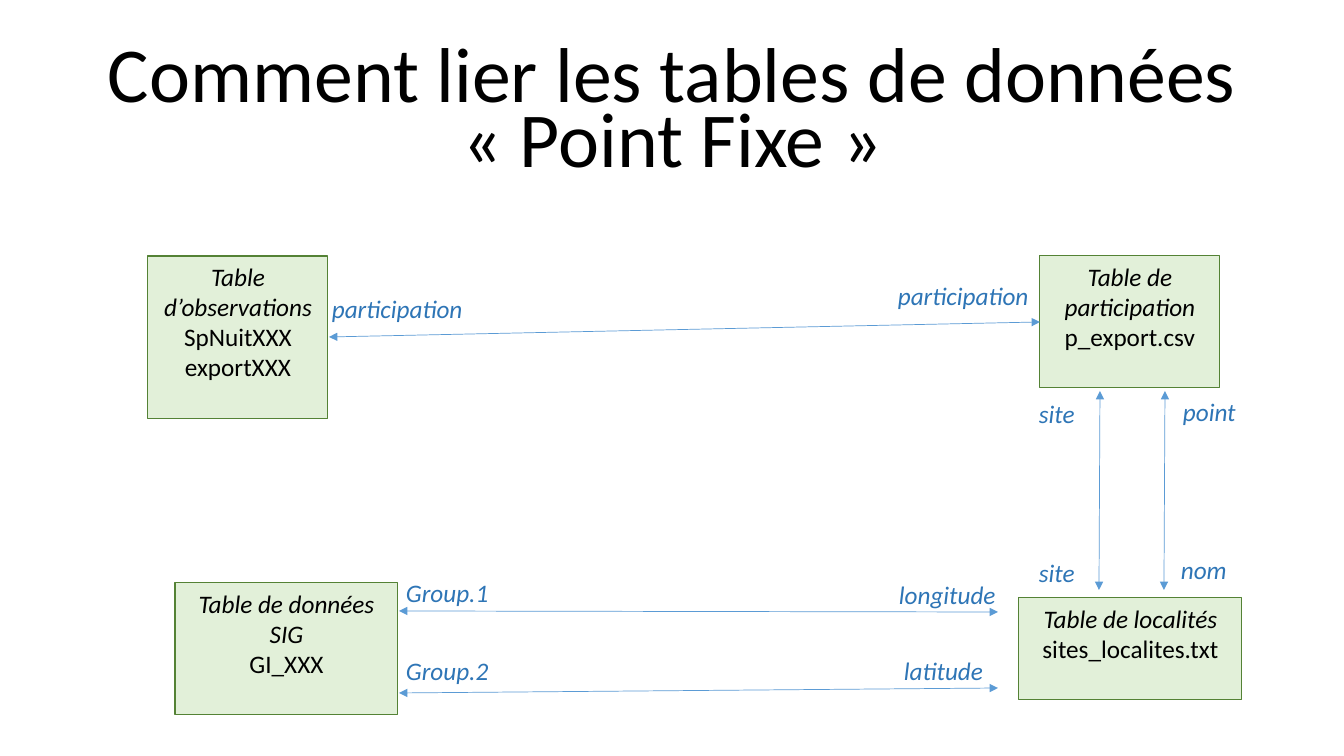
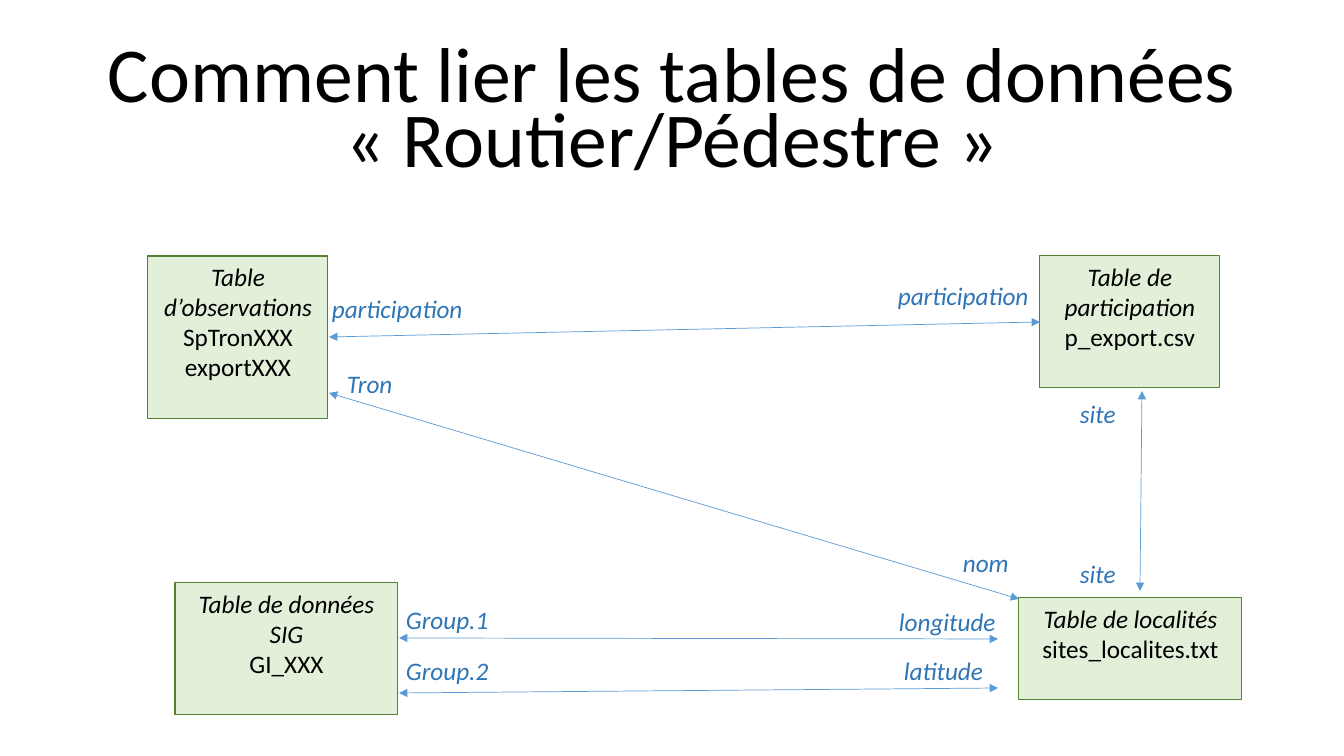
from pptx import Presentation
from pptx.dml.color import RGBColor
from pptx.enum.shapes import MSO_CONNECTOR, MSO_SHAPE
from pptx.enum.text import MSO_ANCHOR, PP_ALIGN
from pptx.oxml.ns import qn
from pptx.util import Pt
from lxml.etree import SubElement

SCALE = 914400 / 100.8
FONT = "Calibri"
BLACK = RGBColor(0x00, 0x00, 0x00)
PALE = RGBColor(0xE2, 0xF0, 0xD9)
GREEN = RGBColor(0x54, 0x82, 0x35)
BLUE = RGBColor(0x5B, 0x9B, 0xD5)
NAVY = RGBColor(0x2E, 0x75, 0xB6)

WIDTHS = {"participation": 152, "site": 56, "point": 74, "nom": 67, "Tron": 67,
          "Group.1": 104, "Group.2": 104, "longitude": 118, "latitude": 101}


def emu(*pixels):
    """Turn pixels into a list of EMU lengths."""
    return [round(p * SCALE) for p in pixels]


def add_run(para, text, size=18, color=BLACK, italic=False):
    """Append one styled run to a paragraph."""
    run = para.add_run()
    run.text = text
    font = run.font
    font.name, font.size, font.italic = FONT, Pt(size), italic
    font.color.rgb = color


def add_title(slide, kind):
    """Write the two-line title, ending with the quoted survey kind."""
    frame = slide.shapes.add_textbox(*emu(93, 40, 1159, 146)).text_frame
    frame.word_wrap = True
    frame.vertical_anchor = MSO_ANCHOR.BOTTOM
    para = frame.paragraphs[0]
    para.alignment, para.line_spacing = PP_ALIGN.CENTER, 0.7
    add_run(para, f"Comment lier les tables de données «\u00a0{kind}\u00a0»", 55.5)


def add_box(slide, place, *paras):
    """Draw a table box; its first run is the italic table name."""
    box = slide.shapes.add_shape(MSO_SHAPE.RECTANGLE, *emu(*place))
    box.shadow.inherit = False
    box.fill.solid()
    box.fill.fore_color.rgb = PALE
    box.line.color.rgb = GREEN
    box.line.width = Pt(0.75)
    frame = box.text_frame
    frame.word_wrap = True
    frame.vertical_anchor = MSO_ANCHOR.TOP
    for row, texts in enumerate(paras):
        para = frame.add_paragraph() if row else frame.paragraphs[0]
        para.alignment = PP_ALIGN.CENTER
        for col, text in enumerate(texts):
            add_run(para, text, italic=row == col == 0)


def add_link(slide, *ends):
    """Draw a thin line with an arrowhead at both ends."""
    link = slide.shapes.add_connector(MSO_CONNECTOR.STRAIGHT, *emu(*ends))
    link.line.color.rgb = BLUE
    link.line.width = Pt(0.5)
    line = link.line._get_or_add_ln()
    for tag in ("a:headEnd", "a:tailEnd"):
        SubElement(line, qn(tag), type="triangle")
    SubElement(link._element.spPr, qn("a:effectLst"))


def add_label(slide, text, left, top):
    """Write the name of a key field beside a link."""
    place = emu(left, top, WIDTHS[text], 40)
    frame = slide.shapes.add_textbox(*place).text_frame
    frame.word_wrap = False
    add_run(frame.paragraphs[0], text, color=NAVY, italic=True)


def add_scheme(deck, kind, source, group, links, labels):
    """Build a slide: shared tables and links, then its own ones.

    group is the height of the upper link to the SIG table.
    """
    slide = deck.slides.add_slide(deck.slide_layouts[6])
    add_title(slide, kind)
    add_box(slide, (148, 256, 180, 163),
            ["Table d’observations"], [source], ["exportXXX"])
    add_box(slide, (1040, 256, 180, 132),
            ["Table de participation ", "p_export.csv"])
    add_box(slide, (1019, 598, 223, 102),
            ["Table de localités"], ["sites_localites.txt"])
    add_box(slide, (175, 583, 223, 132), ["Table de données SIG"], ["GI_XXX"])

    shared = [(329, 337, 1040, 322), (399, group, 998, group + 1),
              (399, 693, 998, 688)]
    for ends in shared + links:
        add_link(slide, *ends)

    fields = [("participation", 322, 288), ("participation", 888, 275),
              ("Group.1", 396, group - 39), ("longitude", 889, group - 37),
              ("Group.2", 396, 650), ("latitude", 894, 650)]
    for label in fields + labels:
        add_label(slide, *label)


def main():
    """Build and save both slides."""
    deck = Presentation()
    deck.slide_width, deck.slide_height = emu(1344, 756)
    add_scheme(deck, "Point Fixe", "SpNuitXXX", 611,
               [(1099, 590, 1100, 391), (1164, 590, 1165, 391)],
               [("site", 1029, 393), ("site", 1029, 552),
                ("point", 1173, 391), ("nom", 1171, 549)])
    add_scheme(deck, "Routier/Pédestre", "SpTronXXX", 638,
               [(1140, 591, 1142, 391), (329, 393, 1019, 599)],
               [("site", 1070, 393), ("site", 1070, 553),
                ("Tron", 337, 363), ("nom", 953, 542)])
    deck.save("out.pptx")


main()
